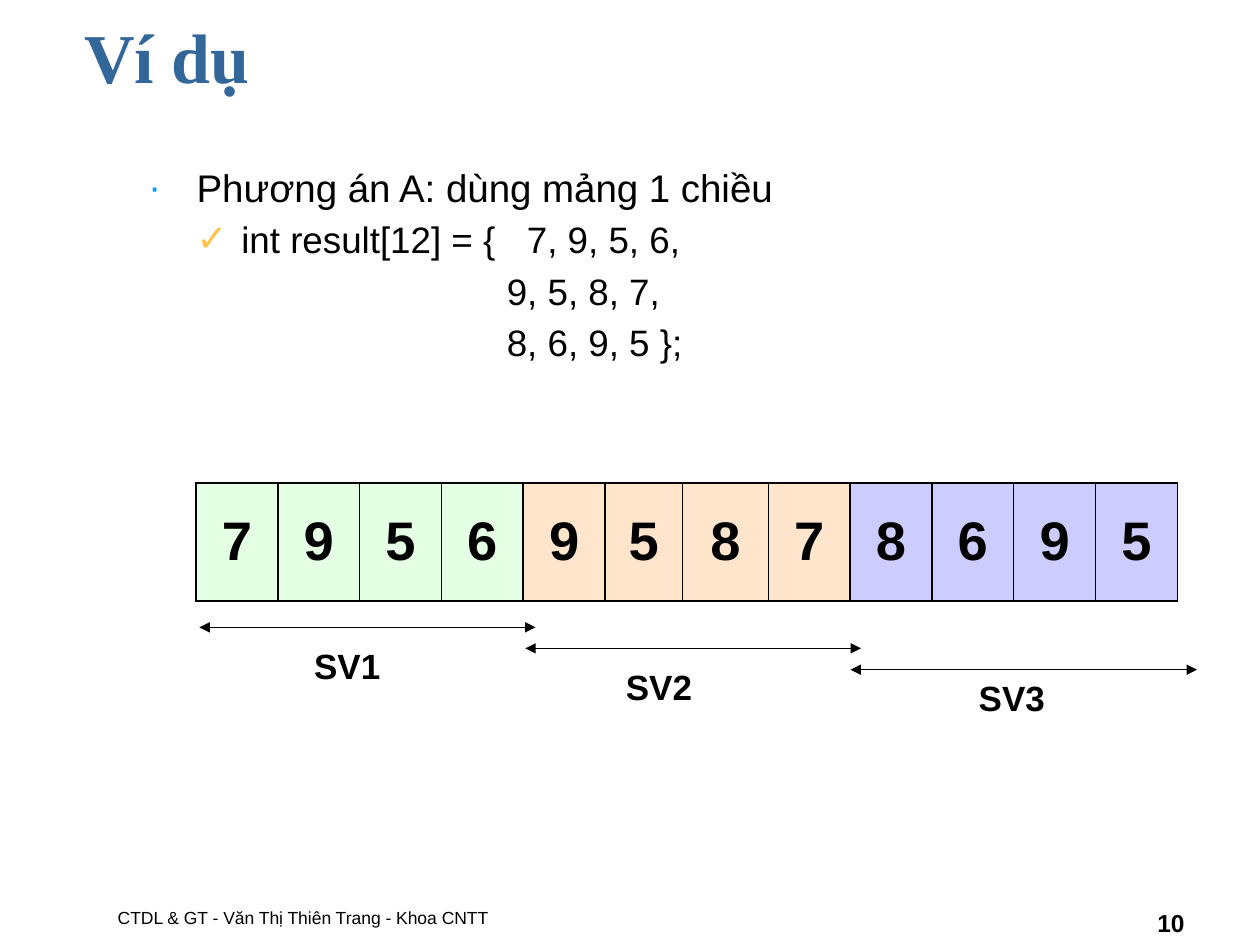
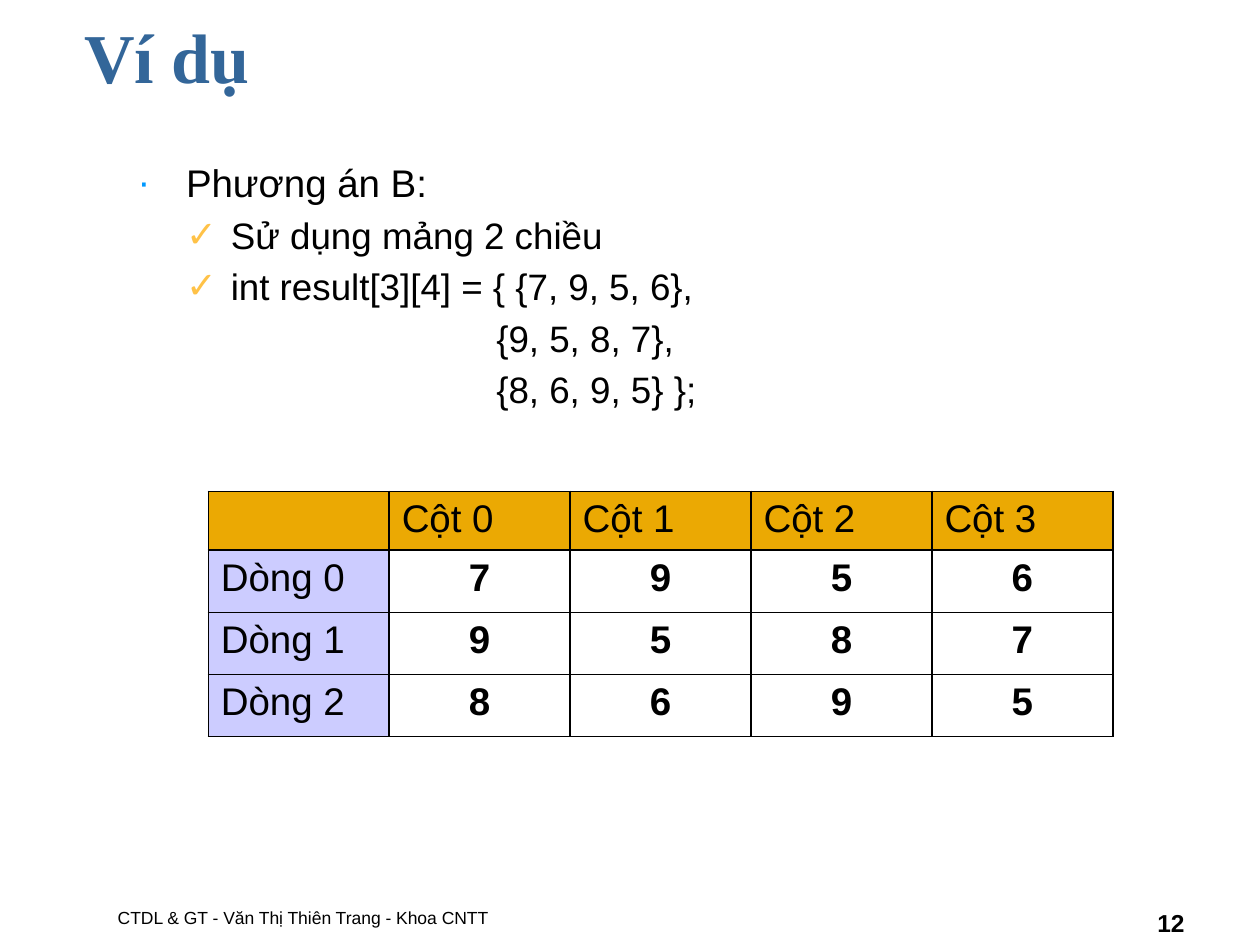
import pptx
import pptx.dml.color
import pptx.enum.shapes
import pptx.enum.text
import pptx.oxml
import pptx.oxml.ns
import pptx.util
from dataclasses import dataclass
from lxml import etree

Pt = pptx.util.Pt
ALIGN = pptx.enum.text.PP_ALIGN
ANCHOR = pptx.enum.text.MSO_ANCHOR
qn = pptx.oxml.ns.qn


@dataclass(frozen=True)
class Theme:
    body_font: str = "Arial"
    title_font: str = "Times New Roman"
    black: str = "000000"
    band: str = "FFFFFF"
    title_color: str = "336699"
    dot_color: str = "0099FF"
    check_color: str = "FFC247"
    green: str = "E5FFE5"
    orange: str = "FFE5CC"
    lavender: str = "CCCCFF"
    header: str = "EBA903"
    title_size: int = 40
    point_size: int = 22
    code_size: int = 21
    array_size: int = 31
    label_size: int = 20
    number_size: int = 14
    footer_size: int = 10


THEME = Theme()

TITLE = "Ví dụ"
FOOTER = "CTDL & GT - Văn Thị Thiên Trang - Khoa CNTT"
SCORES = [[7, 9, 5, 6], [9, 5, 8, 7], [8, 6, 9, 5]]

PLAN_A = [
    ("point", "Phương án A: dùng mảng 1 chiều"),
    ("check", "int result[12] = {\t7, 9, 5, 6,"),
    ("code", "9, 5, 8, 7,"),
    ("code", "8, 6, 9, 5 };"),
]
PLAN_B = [
    ("point", "Phương án B:"),
    ("check", "Sử dụng mảng 2 chiều"),
    ("check", "int result[3][4] = { {7, 9, 5, 6},"),
    ("code", "{9, 5, 8, 7},"),
    ("code", "{8, 6, 9, 5} };"),
]
# student, arrow start x, arrow end x, arrow y, label position
STUDENT_SPANS = [
    ("SV1", 114, 306, 358.5, (172.4, 365)),
    ("SV2", 300.2, 492, 370.5, (350.6, 376.6)),
    ("SV3", 486, 684, 382.7, (552.2, 383)),
]

# top, left and bottom bands: box, opacity in percent
BANDS = [
    ((0, 0, 720, 60), 35),
    ((0, 60, 54, 480), 100),
    ((0, 504, 720, 9), 35),
]

# level, left margin, first-line indent, space before, size, bullet, bullet colour
OUTLINE_STYLES = {
    "point": (0, 27.2, -27, 0, THEME.point_size, "∙", THEME.dot_color),
    "check": (1, 52.8, -25.6, 4.2, THEME.code_size, "✓", THEME.check_color),
    "code": (4, 204.5, 0, 4.2, THEME.code_size, None, None),
}


def rgb(color):
    return pptx.dml.color.RGBColor.from_string(color)


def add_run(paragraph, text, size, bold=False, color=THEME.black, font=THEME.body_font):
    run = paragraph.add_run()
    run.text = text
    run.font.size = Pt(size)
    run.font.bold = bold
    run.font.name = font
    run.font.color.rgb = rgb(color)


def add_frame(slide, box, anchor=ANCHOR.TOP, wrap=True):
    frame = slide.shapes.add_textbox(*map(Pt, box)).text_frame
    frame.word_wrap = wrap
    frame.vertical_anchor = anchor
    return frame


def add_solid_fill(parent, color):
    fill = etree.SubElement(parent, qn("a:solidFill"))
    etree.SubElement(fill, qn("a:srgbClr"), val=color)


def add_band(slide, box, opacity):
    band = slide.shapes.add_shape(
        pptx.enum.shapes.MSO_SHAPE.RECTANGLE, *map(Pt, box))
    band.shadow.inherit = False
    band.line.fill.background()
    band.fill.solid()
    band.fill.fore_color.rgb = rgb(THEME.band)
    color = band._element.spPr.find(qn("a:solidFill")).find(qn("a:srgbClr"))
    etree.SubElement(color, qn("a:alpha"), val=str(opacity * 1000))


def add_base_slide(presentation, number):
    """Add a slide with the shared bands, title, footer and slide number."""
    slide = presentation.slides.add_slide(presentation.slide_layouts[6])
    for box, opacity in BANDS:
        add_band(slide, box, opacity)
    footer = add_frame(slide, (60.2, 498, 438, 36), ANCHOR.BOTTOM)
    add_run(footer.paragraphs[0], FOOTER, THEME.footer_size)
    number_paragraph = add_frame(slide, (516, 503.5, 168, 36), ANCHOR.BOTTOM).paragraphs[0]
    number_paragraph.alignment = ALIGN.RIGHT
    add_run(number_paragraph, str(number), THEME.number_size, True)
    title = add_frame(slide, (41, 4.3, 648, 62))
    add_run(title.paragraphs[0], TITLE, THEME.title_size, True,
            THEME.title_color, THEME.title_font)
    return slide


def add_outline(slide, box, lines):
    frame = add_frame(slide, box)
    for index, (kind, text) in enumerate(lines):
        level, margin, indent, before, size, bullet, color = OUTLINE_STYLES[kind]
        paragraph = frame.add_paragraph() if index else frame.paragraphs[0]
        paragraph.level = level
        paragraph.alignment = ALIGN.JUSTIFY
        paragraph.space_before = Pt(before)
        properties = paragraph._p.get_or_add_pPr()
        properties.set("marL", str(Pt(margin)))
        properties.set("indent", str(Pt(indent)))
        if bullet:
            bullet_color = etree.SubElement(properties, qn("a:buClr"))
            etree.SubElement(bullet_color, qn("a:srgbClr"), val=color)
            etree.SubElement(properties, qn("a:buFont"), typeface=THEME.body_font)
            etree.SubElement(properties, qn("a:buChar"), char=bullet)
        else:
            etree.SubElement(properties, qn("a:buNone"))
        add_run(paragraph, text, size)


def add_grid(slide, left, top, widths, heights):
    """Add an unbanded table of the given column widths and row heights."""
    table = slide.shapes.add_table(
        len(heights), len(widths),
        Pt(left), Pt(top), Pt(sum(widths)), Pt(sum(heights))).table
    table.first_row = table.horz_banding = False
    for column, width in zip(table.columns, widths):
        column.width = Pt(width)
    for row, height in zip(table.rows, heights):
        row.height = Pt(height)
    return table


def fill_cell(cell, text, size, fill=None, bold=True, align=ALIGN.CENTER, anchor=ANCHOR.TOP):
    cell.vertical_anchor = anchor
    properties = cell._tc.get_or_add_tcPr()
    for side in ("a:lnL", "a:lnR", "a:lnT", "a:lnB"):
        border = etree.SubElement(properties, qn(side), w=str(Pt(1)))
        add_solid_fill(border, THEME.black)
    if fill:
        cell.fill.solid()
        cell.fill.fore_color.rgb = rgb(fill)
    else:
        cell.fill.background()
    paragraph = cell.text_frame.paragraphs[0]
    paragraph.alignment = align
    if text:
        add_run(paragraph, text, size, bold)
    else:
        end = etree.SubElement(paragraph._p, qn("a:endParaRPr"), sz=str(size * 100))
        etree.SubElement(end, qn("a:latin"), typeface=THEME.body_font)


def add_double_arrow(slide, start, end, y):
    arrow = slide.shapes.add_connector(
        pptx.enum.shapes.MSO_CONNECTOR.STRAIGHT, Pt(start), Pt(y), Pt(end), Pt(y))
    arrow.line.width = Pt(0.75)
    arrow.line.color.rgb = rgb(THEME.black)
    line = arrow.line._get_or_add_ln()
    for tip in ("a:headEnd", "a:tailEnd"):
        etree.SubElement(line, qn(tip), type="triangle")
    etree.SubElement(arrow._element.spPr, qn("a:effectLst"))


def build_one_dimension(presentation):
    slide = add_base_slide(presentation, 10)
    add_outline(slide, (78, 90, 558, 162), PLAN_A)
    widths = [46.75] * 5 + [44.2, 49.1] + [46.75] * 5
    table = add_grid(slide, 112, 276, widths, [67.5])
    column = 0
    for scores, fill in zip(SCORES, (THEME.green, THEME.orange, THEME.lavender)):
        for score in scores:
            fill_cell(table.cell(0, column), str(score), THEME.array_size, fill,
                      anchor=ANCHOR.MIDDLE)
            column += 1
    for student, start, end, y, label_position in STUDENT_SPANS:
        add_double_arrow(slide, start, end, y)
        label = add_frame(slide, (*label_position, 52.6, 31), wrap=False)
        add_run(label.paragraphs[0], student, THEME.label_size, True)


def build_two_dimensions(presentation):
    slide = add_base_slide(presentation, 12)
    add_outline(slide, (72, 87.4, 613, 410), PLAN_B)
    table = add_grid(slide, 119, 280.8, [103.4] * 5, [31] + [35.5] * 3)
    heading = {"bold": False, "align": ALIGN.JUSTIFY}
    fill_cell(table.cell(0, 0), "", THEME.footer_size, THEME.header)
    for column in range(4):
        fill_cell(table.cell(0, column + 1), f"Cột {column}", THEME.point_size,
                  THEME.header, **heading)
    for row, scores in enumerate(SCORES):
        fill_cell(table.cell(row + 1, 0), f"Dòng {row}", THEME.point_size,
                  THEME.lavender, **heading)
        for column, score in enumerate(scores):
            fill_cell(table.cell(row + 1, column + 1), str(score), THEME.point_size)


def main():
    presentation = pptx.Presentation()
    presentation.slide_width = Pt(720)
    presentation.slide_height = Pt(540)
    build_one_dimension(presentation)
    build_two_dimensions(presentation)
    presentation.save("out.pptx")


if __name__ == "__main__":
    main()
